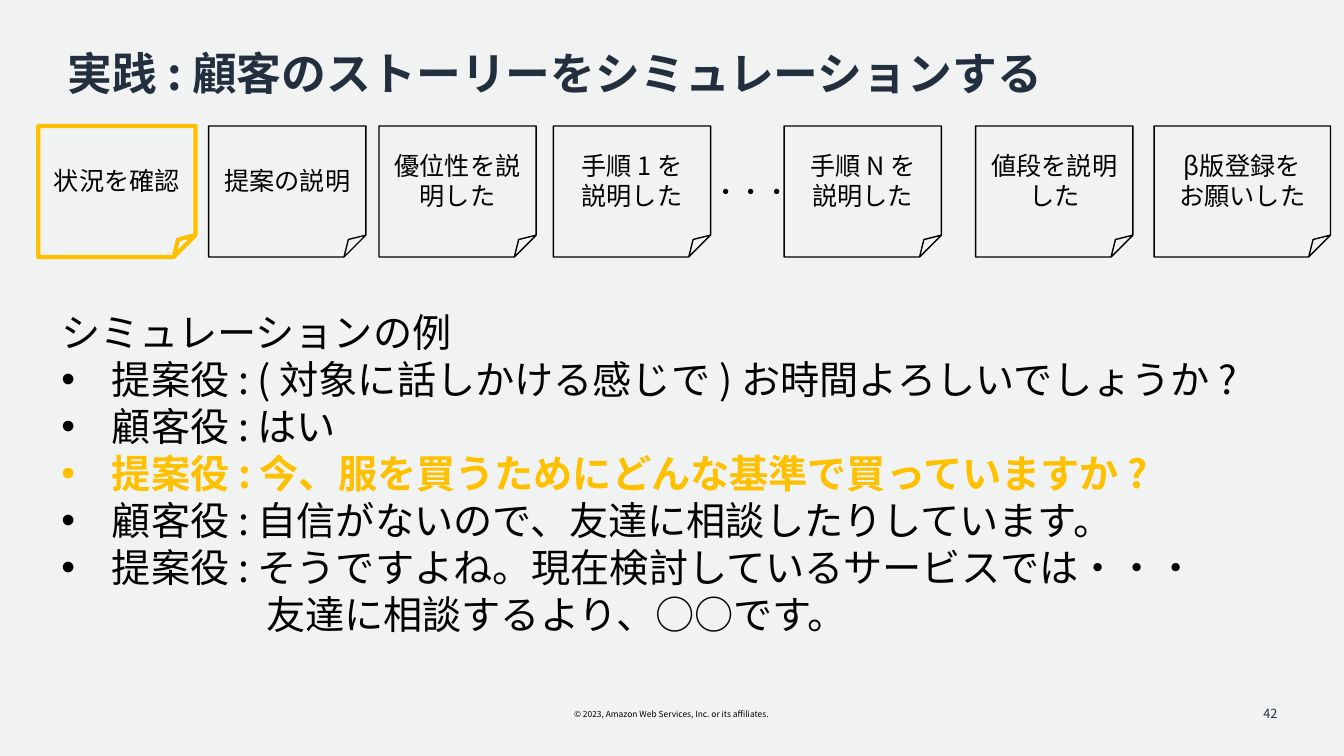
from dataclasses import dataclass

from lxml.etree import SubElement
from pptx import Presentation
from pptx.dml.color import RGBColor
from pptx.enum.shapes import MSO_SHAPE
from pptx.enum.text import MSO_ANCHOR, PP_ALIGN
from pptx.oxml.ns import qn
from pptx.slide import Slide
from pptx.text.text import TextFrame, _Paragraph
from pptx.util import Inches, Pt

COLORS = {"background": "F1F3F3", "navy": "232F3E", "black": "000000", "amber": "FFC000"}
JAPANESE_FONT = "Noto Sans CJK JP"
GRID_COLUMNS, GRID_ROWS = 160, 90
CELL = Inches(1 / 12)
NOTE_TOP, NOTE_WIDTH, NOTE_HEIGHT = 15, 18.72, 15.6
BULLET_INDENT = 6
CONTINUATION_INDENT = 24.36


@dataclass(frozen=True)
class Area:
    column: float
    row: float
    columns: float
    rows: float

    def lengths(self) -> list[int]:
        return [cells(count) for count in (self.column, self.row, self.columns, self.rows)]


@dataclass(frozen=True)
class Style:
    size: float
    color: str = "black"
    bold: bool = False
    font: str = JAPANESE_FONT
    alignment: PP_ALIGN = PP_ALIGN.LEFT


@dataclass(frozen=True)
class Label:
    text: str
    area: Area
    style: Style
    side_margin: float = 0
    anchor: MSO_ANCHOR = MSO_ANCHOR.TOP
    line_spacing: float = 1.0
    wrap: bool = True


@dataclass(frozen=True)
class StoryNote:
    text: str
    column: float
    columns: float = NOTE_WIDTH
    current: bool = False


@dataclass(frozen=True)
class DialogueLine:
    text: str
    bullet: bool = True
    indent: float = BULLET_INDENT
    style: Style = Style(28)


LABELS = [
    Label("© 2023, Amazon Web Services, Inc. or its affiliates.",
          Area(65.88, 83.88, 28.08, 2.4), Style(6, alignment=PP_ALIGN.CENTER),
          side_margin=1.2, wrap=False),
    Label("実践 : 顧客のストーリーをシミュレーションする",
          Area(8.04, 5.52, 143.76, 7.2), Style(32, "navy", bold=True), line_spacing=0.9),
    Label("42", Area(117.24, 82.56, 36, 4.8), Style(9, "navy", alignment=PP_ALIGN.RIGHT),
          side_margin=1.2, anchor=MSO_ANCHOR.MIDDLE),
    Label("・・・", Area(84.96, 20.4, NOTE_WIDTH, 4.8), Style(18, font="Roboto")),
]

STORY_NOTES = [
    StoryNote("状況を確認", 4.56, current=True),
    StoryNote("提案の説明", 24.84),
    StoryNote("優位性を説明した", 45.12),
    StoryNote("手順 1 を\v説明した", 65.88),
    StoryNote("手順 N を\v説明した", 93.36),
    StoryNote("値段を説明した", 116.16),
    StoryNote("β版登録を\nお願いした", 137.4, columns=21),
]

DIALOGUE_AREA = Area(7.32, 36.12, 147.84, 40.8)
DIALOGUE = [
    DialogueLine("シミュレーションの例", bullet=False, indent=0),
    DialogueLine("提案役 : ( 対象に話しかける感じで ) お時間よろしいでしょうか ?"),
    DialogueLine("顧客役 : はい"),
    DialogueLine("提案役 : 今、服を買うためにどんな基準で買っていますか ?",
                 style=Style(28, "amber", bold=True)),
    DialogueLine("顧客役 : 自信がないので、友達に相談したりしています。"),
    DialogueLine("提案役 : そうですよね。現在検討しているサービスでは・・・"),
    DialogueLine("友達に相談するより、○○です。", bullet=False, indent=CONTINUATION_INDENT),
]


def cells(count: float) -> int:
    return round(count * CELL)


def rgb(name: str) -> RGBColor:
    return RGBColor.from_string(COLORS[name])


def style_paragraph(paragraph: _Paragraph, style: Style) -> None:
    paragraph.alignment = style.alignment
    font = paragraph.font
    font.size = Pt(style.size)
    font.bold = style.bold
    font.color.rgb = rgb(style.color)
    font.name = style.font
    defaults = paragraph._p.get_or_add_pPr().find(qn("a:defRPr"))
    SubElement(defaults, qn("a:ea"), typeface=style.font)


def set_indent(paragraph: _Paragraph, line: DialogueLine) -> None:
    properties = paragraph._p.get_or_add_pPr()
    properties.set("marL", str(cells(line.indent)))
    properties.set("indent", str(-cells(line.indent) if line.bullet else 0))
    if line.bullet:
        SubElement(properties, qn("a:buFont"), typeface="Arial")
        SubElement(properties, qn("a:buChar"), char="•")


def set_frame(frame: TextFrame, side_margin: float, anchor: MSO_ANCHOR) -> None:
    frame.word_wrap = True
    frame.vertical_anchor = anchor
    frame.margin_left = frame.margin_right = cells(side_margin)
    frame.margin_top = frame.margin_bottom = cells(0.6)


def add_label(slide: Slide, label: Label) -> None:
    frame = slide.shapes.add_textbox(*label.area.lengths()).text_frame
    set_frame(frame, label.side_margin, label.anchor)
    frame.word_wrap = label.wrap
    frame.text = label.text
    paragraph = frame.paragraphs[0]
    paragraph.line_spacing = label.line_spacing
    style_paragraph(paragraph, label.style)


def add_story_note(slide: Slide, note: StoryNote) -> None:
    area = Area(note.column, NOTE_TOP, note.columns, NOTE_HEIGHT)
    shape = slide.shapes.add_shape(MSO_SHAPE.FOLDED_CORNER, *area.lengths())
    shape.shadow.inherit = False
    shape.fill.background()
    shape.line.color.rgb = rgb("amber" if note.current else "black")
    shape.line.width = Pt(3 if note.current else 1)
    set_frame(shape.text_frame, 0.6, MSO_ANCHOR.MIDDLE)
    shape.text_frame.text = note.text
    for paragraph in shape.text_frame.paragraphs:
        style_paragraph(paragraph, Style(18, alignment=PP_ALIGN.CENTER))


def add_dialogue(slide: Slide) -> None:
    frame = slide.shapes.add_textbox(*DIALOGUE_AREA.lengths()).text_frame
    set_frame(frame, 0, MSO_ANCHOR.TOP)
    frame.text = "\n".join(line.text for line in DIALOGUE)
    for paragraph, line in zip(frame.paragraphs, DIALOGUE):
        set_indent(paragraph, line)
        style_paragraph(paragraph, line.style)


def main() -> None:
    presentation = Presentation()
    presentation.slide_width = cells(GRID_COLUMNS)
    presentation.slide_height = cells(GRID_ROWS)
    slide = presentation.slides.add_slide(presentation.slide_layouts[6])
    slide.background.fill.solid()
    slide.background.fill.fore_color.rgb = rgb("background")
    for label in LABELS:
        add_label(slide, label)
    add_dialogue(slide)
    for note in STORY_NOTES:
        add_story_note(slide, note)
    presentation.save("out.pptx")


if __name__ == "__main__":
    main()
